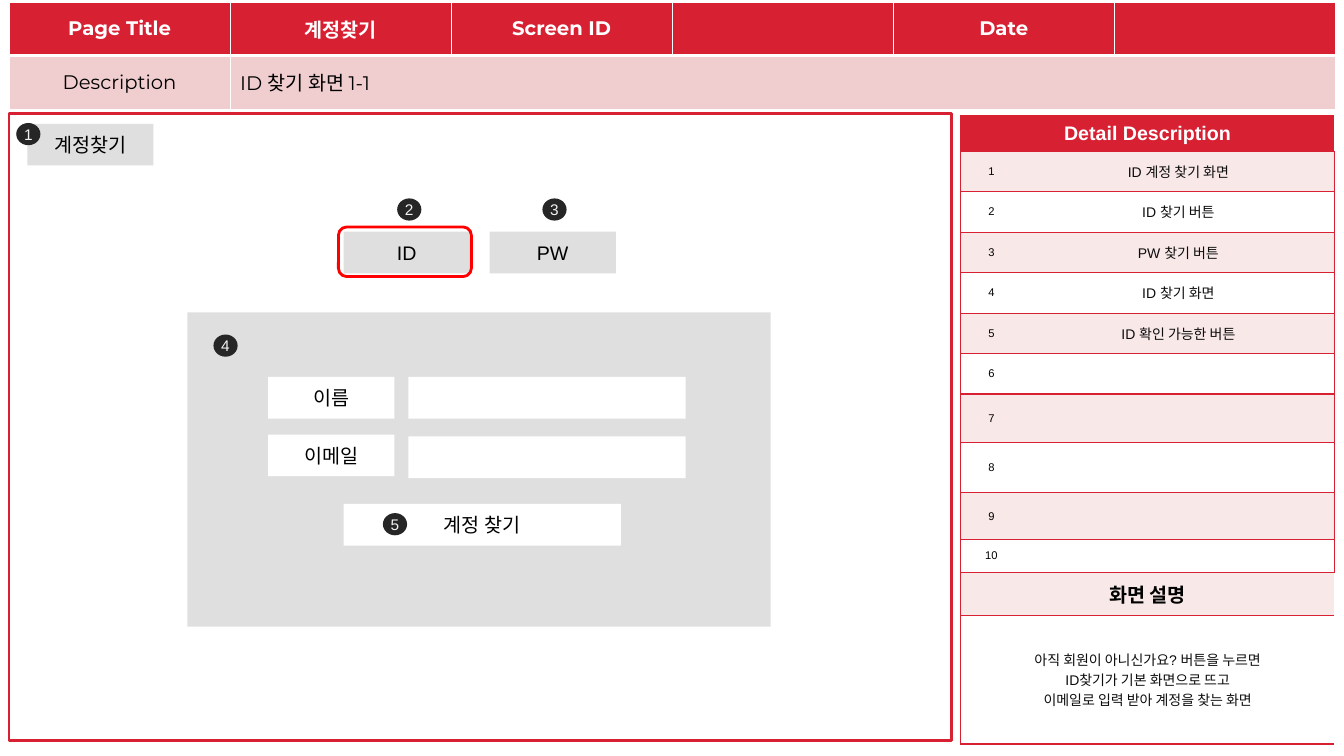
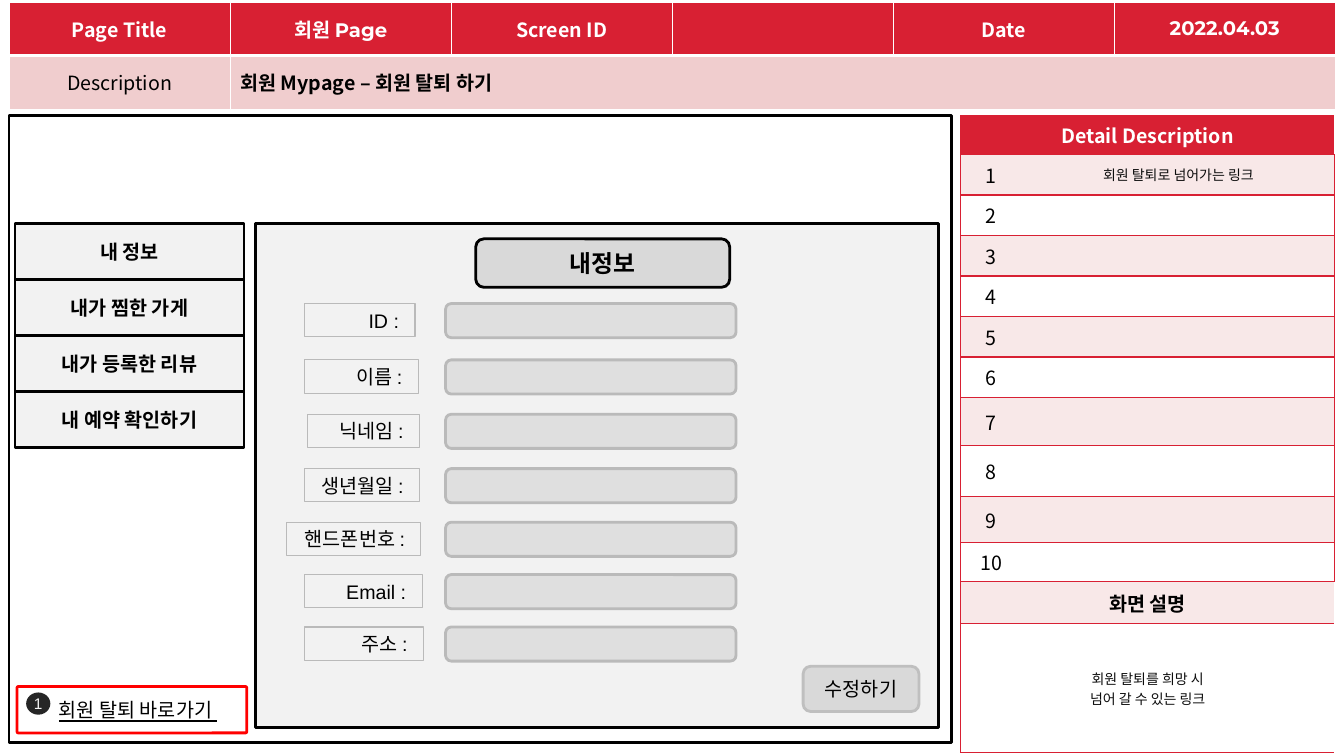
from dataclasses import dataclass
from typing import Optional

from lxml import etree
from pptx import Presentation
from pptx import util as u
from pptx.dml.color import RGBColor
from pptx.enum import shapes, text
from pptx.oxml import ns

COLORS = {
    "red": "D82033", "pink": "F0CDCE", "blush": "F8E8E8", "alert": "FF0000",
    "white": "FFFFFF", "black": "000000", "ink": "0D0D0D", "badge": "262626",
    "digit": "F2F2F2", "pale": "F2F2F2", "gray": "DFDFDF", "button": "D9D9D9",
    "edge": "BABABA", "soft_edge": "BFBFBF",
}
ARIAL, MONTSERRAT, NOTO = "Arial", "Montserrat", "Noto Sans CJK KR"
RECT = shapes.MSO_SHAPE.RECTANGLE
ROUND = shapes.MSO_SHAPE.ROUNDED_RECTANGLE
OVAL = shapes.MSO_SHAPE.OVAL
CENTER, LEFT, RIGHT = text.PP_ALIGN.CENTER, text.PP_ALIGN.LEFT, text.PP_ALIGN.RIGHT
DETAIL_ROWS = [0.89] + [1.02] * 6 + [1.22, 1.27, 1.17, 0.84, 1.07, 3.25]
SIDES = {"l": "a:lnL", "r": "a:lnR", "t": "a:lnT", "b": "a:lnB"}


@dataclass
class Style:
    font: str = ARIAL
    size: float = 14
    color: str = "black"
    bold: bool = False
    underline: bool = False


@dataclass
class Box:
    left: float
    top: float
    width: float
    height: float
    words: str = ""
    fill: Optional[str] = None
    line: Optional[str] = None
    weight: float = 2
    kind: shapes.MSO_SHAPE = RECT
    style: Style = Style
    align: text.PP_ALIGN = CENTER
    insets: tuple[float, float] = (0.25, 0.25)
    corner: float = 0.167


@dataclass
class Field:
    words: str
    left: float
    top: float
    width: float


@dataclass
class Screen:
    titles: list[tuple[str, str]]
    header_font: str
    summary: str
    summary_bold: bool
    detail_font: str
    number_size: float
    details: list[str]
    notes: list[str]
    boxes: list[Box]


def rgb(name: str) -> RGBColor:
    return RGBColor.from_string(COLORS[name])


def write(frame, lines: list[str], style: Style, align: text.PP_ALIGN) -> None:
    for index, line in enumerate(lines):
        para = frame.add_paragraph() if index else frame.paragraphs[0]
        para.alignment = align
        span = para.add_run()
        span.text = line
        font = span.font
        font.name, font.size = style.font, u.Pt(style.size)
        font.bold, font.underline = style.bold, style.underline
        font.color.rgb = rgb(style.color)
        east = etree.SubElement(font._element, ns.qn("a:ea"))
        east.set("typeface", NOTO)


def draw_box(page, box: Box) -> None:
    shape = page.shapes.add_shape(
        box.kind, u.Cm(box.left), u.Cm(box.top), u.Cm(box.width), u.Cm(box.height))
    shape.shadow.inherit = False
    if box.kind == ROUND:
        shape.adjustments[0] = box.corner
    if box.fill:
        shape.fill.solid()
        shape.fill.fore_color.rgb = rgb(box.fill)
    else:
        shape.fill.background()
    if box.line:
        shape.line.color.rgb = rgb(box.line)
        shape.line.width = u.Pt(box.weight)
    else:
        shape.line.fill.background()
    if box.words:
        frame = shape.text_frame
        frame.word_wrap = box.kind != OVAL
        frame.vertical_anchor = text.MSO_ANCHOR.MIDDLE
        frame.margin_left, frame.margin_right = map(u.Cm, box.insets)
        frame.margin_top = frame.margin_bottom = 0
        write(frame, [box.words], box.style, box.align)


def badge(number: int, left: float, top: float) -> Box:
    return Box(left, top, 0.61, 0.56, str(number), "badge", kind=OVAL,
               style=Style(size=11, color="digit"), insets=(0, 0))


def paint_cell(cell, fill: str, borders: dict[str, float], color: str) -> None:
    props = cell._tc.get_or_add_tcPr()
    for side, tag in SIDES.items():
        line = etree.SubElement(props, ns.qn(tag))
        if side in borders:
            line.set("w", str(u.Pt(borders[side])))
            solid = etree.SubElement(line, ns.qn("a:solidFill"))
            etree.SubElement(solid, ns.qn("a:srgbClr")).set("val", COLORS[color])
        else:
            line.set("w", "0")
            etree.SubElement(line, ns.qn("a:noFill"))
    cell.fill.solid()
    cell.fill.fore_color.rgb = rgb(fill)
    cell.vertical_anchor = text.MSO_ANCHOR.MIDDLE


def fill_cell(cell, lines: list[str], style: Style, align=CENTER) -> None:
    if any(lines):
        write(cell.text_frame, lines, style, align)
    else:
        end = etree.SubElement(cell.text_frame.paragraphs[0]._p, ns.qn("a:endParaRPr"))
        end.set("sz", str(int(style.size * 100)))


def add_table(page, left: float, top: float, columns: list[float], rows: list[float]):
    table = page.shapes.add_table(
        len(rows), len(columns), u.Cm(left), u.Cm(top),
        u.Cm(sum(columns)), u.Cm(sum(rows))).table
    table.first_row = table.horz_banding = False
    for column, width in zip(table.columns, columns):
        column.width = u.Cm(width)
    for row, height in zip(table.rows, rows):
        row.height = u.Cm(height)
    return table


def draw_header(page, screen: Screen) -> None:
    table = add_table(page, 0.23, 0.05, [5.57] * 6, [1.35] * 2)
    for column, (words, font) in enumerate(screen.titles):
        upper, lower = table.cell(0, column), table.cell(1, column)
        paint_cell(upper, "red", {"l": 1, "r": 1, "t": 1, "b": 3}, "white")
        paint_cell(lower, "pink", {"l": 1, "r": 1, "t": 3, "b": 1}, "white")
        fill_cell(upper, [words], Style(font, color="white", bold=True))
    fill_cell(table.cell(1, 0), ["Description"], Style(screen.header_font))
    table.cell(1, 1).merge(table.cell(1, 5))
    fill_cell(table.cell(1, 1), [screen.summary],
              Style(screen.header_font, bold=screen.summary_bold), LEFT)


def draw_details(page, screen: Screen) -> None:
    table = add_table(page, 24.21, 2.92, [1.55, 7.87], DETAIL_ROWS)
    font = screen.detail_font
    last = len(DETAIL_ROWS) - 1
    for row in range(last + 1):
        fill = "red" if row == 0 else "blush" if row % 2 else "white"
        for column, outer in enumerate("lr"):
            paint_cell(table.cell(row, column), fill, {outer: 1, "t": 1, "b": 1}, "red")
    for row in range(1, last - 1):
        words = screen.details[row - 1] if row <= len(screen.details) else ""
        fill_cell(table.cell(row, 0), [str(row)], Style(font, screen.number_size))
        fill_cell(table.cell(row, 1), [words], Style(font, 10, "ink"))
    spanning = {
        0: (["Detail Description"], Style(font, color="white", bold=True)),
        last - 1: (["화면 설명"], Style(font, bold=True)),
        last: (screen.notes, Style(font, 10, "ink")),
    }
    for row, (lines, style) in spanning.items():
        table.cell(row, 0).merge(table.cell(row, 1))
        fill_cell(table.cell(row, 0), lines, style)


def find_account_boxes() -> list[Box]:
    plain = Style()
    buttons = [
        Box(left, top, width, 1.05, words, fill, style=plain)
        for left, top, width, words, fill in [
            (12.34, 5.84, 3.18, "PW", "gray"),
            (8.66, 5.84, 3.18, "ID", "gray"),
            (0.69, 3.12, 3.18, "계정찾기", "gray"),
            (6.76, 9.5, 3.18, "이름", "white"),
            (6.76, 10.95, 3.18, "이메일", "white"),
            (10.29, 9.5, 6.99, "", "white"),
            (10.29, 11, 6.99, "", "white"),
            (8.66, 12.7, 6.99, "계정 찾기", "white"),
        ]
    ]
    spots = [(0.41, 3.1), (10.01, 5), (13.67, 5), (5.38, 8.43), (9.65, 12.93)]
    return [
        Box(0.23, 2.87, 23.75, 15.8, fill="white", line="red"),
        Box(4.72, 7.87, 14.7, 7.92, fill="gray"),
        *buttons,
        *(badge(number, *spot) for number, spot in enumerate(spots, 1)),
        Box(8.53, 5.72, 3.35, 1.25, line="alert", kind=ROUND),
    ]


def member_boxes() -> list[Box]:
    fields = [
        Field("ID :", 7.67, 7.65, 2.79),
        Field("이름 :", 7.67, 9.07, 2.87),
        Field("닉네임 :", 7.75, 10.44, 2.82),
        Field("생년월일 :", 7.67, 11.81, 2.9),
        Field("핸드폰번호 :", 7.21, 13.16, 3.4),
        Field("Email :", 7.67, 14.48, 2.97),
        Field("주소 :", 7.67, 15.8, 3),
    ]
    menu = ["내 정보", "내가 찜한 가게", "내가 등록한 리뷰", "내 예약 확인하기"]
    boxes = [
        Box(0.23, 2.92, 23.75, 15.8, fill="white", line="black"),
        Box(6.43, 5.64, 17.22, 12.7, fill="pale", line="black"),
    ]
    for field in fields:
        boxes += [
            Box(field.left, field.top, field.width, 0.84, field.words, line="edge",
                weight=0.75, style=Style(), align=RIGHT, insets=(0, 0.4)),
            Box(11.23, field.top, 7.32, 0.86, fill="gray", line="edge", kind=ROUND),
        ]
    boxes += [
        Box(0.38, 5.64 + 1.41 * index, 5.77, 1.41, words, "pale", "black",
            style=Style(bold=True))
        for index, words in enumerate(menu)
    ]
    return boxes + [
        Box(11.99, 6.02, 6.4, 1.22, "내정보", "button", "black", kind=ROUND,
            style=Style(NOTO, 17, bold=True)),
        Box(20.24, 16.79, 2.92, 1.14, "수정하기", "button", "soft_edge", kind=ROUND,
            style=Style(NOTO)),
        Box(0.43, 17.3, 5.79, 1.17, line="alert", kind=ROUND, corner=0.03),
        badge(1, 0.66, 17.45),
        Box(0.91, 17.45, 5.13, 0.89, "회원 탈퇴 바로가기 ", kind=ROUND,
            style=Style(NOTO, underline=True)),
    ]


def header_titles(font: str, title: str, date: str) -> list[tuple[str, str]]:
    return [("Page Title", font), (title, MONTSERRAT), ("Screen ID", font),
            ("", font), ("Date", font), (date, MONTSERRAT)]


def main() -> None:
    screens = [
        Screen(header_titles(MONTSERRAT, "계정찾기", ""), MONTSERRAT,
               "ID 찾기 화면 1-1", False, ARIAL, 8,
               ["ID 계정 찾기 화면", "ID 찾기 버튼", "PW 찾기 버튼", "ID 찾기 화면",
                "ID 확인 가능한 버튼"],
               ["아직 회원이 아니신가요? 버튼을 누르면", "ID찾기가 기본 화면으로 뜨고",
                "이메일로 입력 받아 계정을 찾는 화면"],
               find_account_boxes()),
        Screen(header_titles(NOTO, "회원 Page", "2022.04.03"), NOTO,
               "회원 Mypage – 회원 탈퇴 하기", True, NOTO, 14,
               ["회원 탈퇴로 넘어가는 링크"],
               ["회원 탈퇴를 희망 시", "넘어 갈 수 있는 링크"],
               member_boxes()),
    ]
    deck = Presentation()
    deck.slide_width, deck.slide_height = u.Cm(33.87), u.Cm(19.05)
    for screen in screens:
        page = deck.slides.add_slide(deck.slide_layouts[6])
        draw_header(page, screen)
        draw_details(page, screen)
        for box in screen.boxes:
            draw_box(page, box)
    deck.save("out.pptx")


if __name__ == "__main__":
    main()
